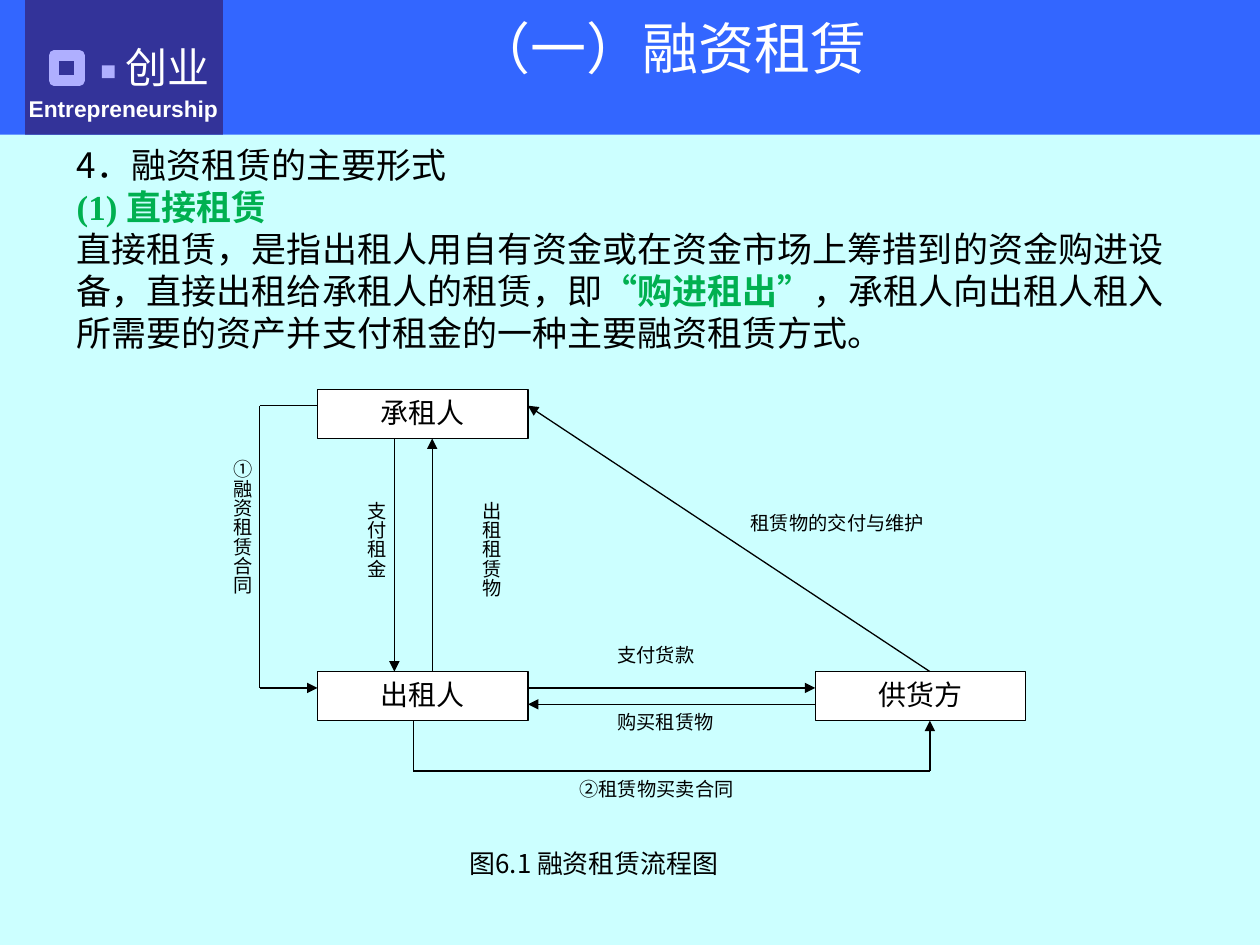
from pptx import Presentation
from pptx.dml.color import RGBColor
from pptx.enum.shapes import MSO_CONNECTOR as Connector, MSO_SHAPE as Preset
from pptx.enum.text import MSO_ANCHOR as Anchor, PP_ALIGN as Align
from pptx.oxml.ns import qn
from pptx.util import Inches, Pt
from lxml.etree import SubElement

BLUE = RGBColor(0x33, 0x66, 0xFF)
NAVY = RGBColor(0x33, 0x33, 0x99)
LILAC = RGBColor(0xAF, 0xAF, 0xFF)
PALE = RGBColor(0xCC, 0xFF, 0xFF)
GREEN = RGBColor(0x00, 0xB0, 0x50)
WHITE = RGBColor(0xFF, 0xFF, 0xFF)
BLACK = RGBColor(0x00, 0x00, 0x00)
SERIF, SANS, CJK = "Times New Roman", "Arial", "Noto Sans CJK SC"


def add_box(left, top, width, height, fill=None, line=None, weight=0.75):
    shape = slide.shapes.add_shape(
        Preset.RECTANGLE, Inches(left), Inches(top), Inches(width), Inches(height))
    shape.shadow.inherit = False
    for paint, color in ((shape.fill, fill), (shape.line.fill, line)):
        if color is None:
            paint.background()
        else:
            paint.solid()
            paint.fore_color.rgb = color
    if line is not None:
        shape.line.width = Pt(weight)
    return shape


def write(shape, paragraphs, size, align=Align.LEFT, anchor=Anchor.TOP, vertical=False):
    frame = shape.text_frame
    side, end = (0.05, 0.1) if vertical else (0.1, 0.05)
    frame_format = {
        "word_wrap": True, "vertical_anchor": anchor,
        "margin_left": Inches(side), "margin_right": Inches(side),
        "margin_top": Inches(end), "margin_bottom": Inches(end),
    }
    for name, value in frame_format.items():
        setattr(frame, name, value)
    if vertical:
        frame._txBody.find(qn("a:bodyPr")).set("vert", "eaVert")
    for index, runs in enumerate(paragraphs):
        paragraph = frame.add_paragraph() if index else frame.paragraphs[0]
        paragraph.alignment = align
        for text, font_name, color, bold in runs:
            run = paragraph.add_run()
            run.text = text
            font_format = {"name": font_name, "size": Pt(size), "bold": bold}
            for name, value in font_format.items():
                setattr(run.font, name, value)
            run.font.color.rgb = color
            SubElement(run.font._element, qn("a:ea")).set("typeface", CJK)
    return frame


presentation = Presentation()
presentation.slide_width = Inches(10)
presentation.slide_height = Inches(7.5)
slide = presentation.slides.add_slide(presentation.slide_layouts[6])
slide.background.fill.solid()
slide.background.fill.fore_color.rgb = PALE

add_box(0, -0.03, 10, 1.1, BLUE)
add_box(0.2, 0, 1.57, 1.07, NAVY)
add_box(0.43, 0.44, 0.2, 0.2, line=LILAC, weight=6)
add_box(0.81, 0.52, 0.1, 0.1, LILAC)

header_texts = [
    ("创业", 0.9, 0.28, 1.02, 0.5, 24, False, Align.LEFT),
    ("Entrepreneurship", 0.13, 0.7, 2.13, 0.32, 13, True, Align.LEFT),
    ("（一）融资租赁", 1.14, 0.06, 8.36, 0.93, 32, False, Align.CENTER),
]
for text, left, top, width, height, size, bold, align in header_texts:
    header = add_box(left, top, width, height)
    write(header, [[(text, SANS, WHITE, bold)]], size, align)

body = add_box(0.51, 1.09, 8.99, 1.77)
write(body, [
    [("4．融资租赁的主要形式", CJK, BLACK, False)],
    [("(1) 直接租赁", SERIF, GREEN, True)],
    [("直接租赁，是指出租人用自有资金或在资金市场上筹措到的资金购进设备，直接出租给承租人的租赁，即",
      SERIF, BLACK, False),
     ("“购进租出”", SERIF, GREEN, True),
     ("，承租人向出租人租入所需要的资产并支付租金的一种主要融资租赁方式。", SERIF, BLACK, False)],
], 20, anchor=Anchor.MIDDLE)

for text, left, top in [("承租人", 2.52, 3.09), ("出租人", 2.52, 5.33), ("供货方", 6.47, 5.33)]:
    party = add_box(left, top, 1.67, 0.39, WHITE, BLACK)
    write(party, [[(text, SERIF, BLACK, False)]], 16, Align.CENTER)

routes = [
    [(3.13, 3.48), (3.13, 5.33)],
    [(3.43, 5.33), (3.43, 3.48)],
    [(7.38, 5.33), (4.19, 3.22)],
    [(4.19, 5.46), (6.47, 5.46)],
    [(6.47, 5.59), (4.19, 5.59)],
    [(2.52, 3.22), (2.06, 3.22), (2.06, 5.46), (2.52, 5.46)],
    [(3.28, 5.72), (3.28, 6.12), (7.38, 6.12), (7.38, 5.72)],
]
for route in routes:
    for start, end in zip(route, route[1:]):
        connector = slide.shapes.add_connector(
            Connector.STRAIGHT, *(Inches(value) for value in start + end))
        connector.line.color.rgb = BLACK
        connector.line.width = Pt(0.75)
        if end == route[-1]:
            SubElement(connector.line._get_or_add_ln(), qn("a:tailEnd")).set("type", "triangle")
        SubElement(connector._element.spPr, qn("a:effectLst"))

labels = [
    ("①融资租赁合同", 1.61, 3.55, 0.46, 1.45, True),
    ("支付租金", 2.67, 3.88, 0.46, 0.92, True),
    ("出租租赁物", 3.43, 3.88, 0.61, 1.19, True),
    ("②租赁物买卖合同", 4.5, 6.12, 1.67, 0.4, False),
    ("购买租赁物", 4.8, 5.59, 1.22, 0.4, False),
    ("支付货款", 4.8, 5.06, 1.06, 0.4, False),
    ("租赁物的交付与维护", 5.86, 4.01, 2.13, 0.4, False),
]
for text, left, top, width, height, vertical in labels:
    label = add_box(left, top, width, height)
    write(label, [[(text, SERIF, BLACK, False)]], 11, vertical=vertical)

caption = add_box(3.63, 6.71, 2.43, 0.4)
caption_frame = write(caption, [[("图6.1 融资租赁流程图", CJK, BLACK, False)]], 14.8)
caption_frame.paragraphs[0].line_spacing = 0.9

presentation.save("out.pptx")
